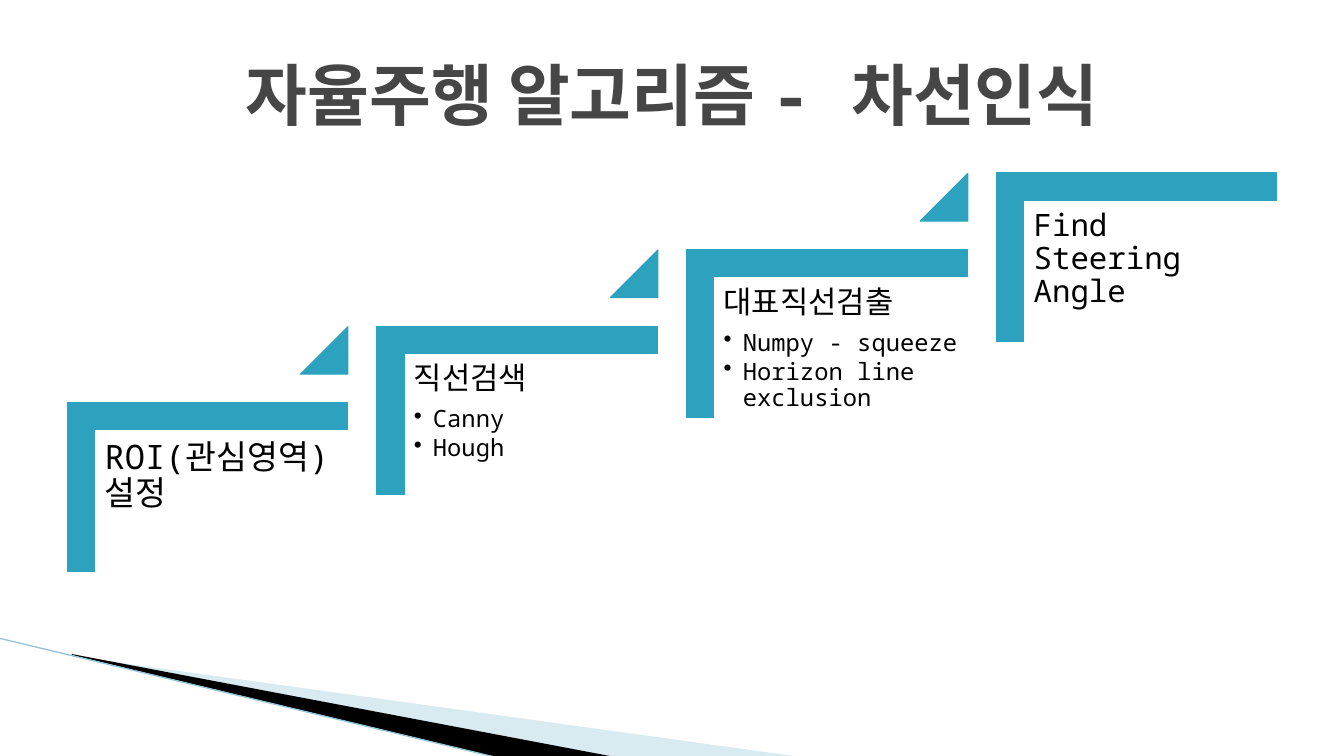
from dataclasses import dataclass

from lxml.etree import SubElement
from pptx import Presentation
from pptx.dml.color import RGBColor
from pptx.enum.shapes import MSO_CONNECTOR as Connector, MSO_SHAPE as Shape
from pptx.enum.text import MSO_ANCHOR as Anchor, PP_ALIGN as Align
from pptx.oxml.ns import qn
from pptx.util import Cm, Pt

FONT = "Noto Sans Mono"
COLORS = {
    "step": "2DA2BF",
    "text": "000000",
    "title": "464646",
    "pale_wedge": "A0CBDC",
    "dark_wedge": "000000",
    "edge": "97C5D8",
}
STEP_DX, STEP_DY = 7.81, -1.93
BULLET_INDENT = Cm(0.48)


@dataclass(frozen=True)
class Step:
    heading: str
    size: int = 22
    inset: float = 0.23
    details: tuple[str, ...] = ()


@dataclass(frozen=True)
class Wedge:
    color: str
    points: tuple[tuple[float, float], ...]
    opacity: int = 100


STEPS = [
    Step("ROI(관심영역)설정", size=24, inset=0.25),
    Step("직선검색", details=("Canny", "Hough")),
    Step("대표직선검출", details=("Numpy - squeeze", "Horizon line exclusion")),
    Step("Find Steering Angle"),
]
WEDGES = [
    Wedge("pale_wedge", ((1.85, 16.54), (20.14, 19.07), (15.44, 19.07), (1.85, 16.51)), 40),
    Wedge("dark_wedge", ((1.8, 16.48), (15.47, 19.07), (12.6, 19.1), (1.83, 16.51))),
]


def rgb(name: str) -> RGBColor:
    return RGBColor.from_string(COLORS[name])


def add_run(paragraph, text: str, size: int, color: str = "text", bold: bool = False) -> None:
    run = paragraph.add_run()
    run.text = text
    run.font.name = FONT
    run.font.size = Pt(size)
    run.font.bold = bold
    run.font.color.rgb = rgb(color)


def draw_wedge(slide, wedge: Wedge) -> None:
    start, *rest = [(Cm(x), Cm(y)) for x, y in wedge.points]
    builder = slide.shapes.build_freeform(*start)
    builder.add_line_segments(rest, close=True)
    outline = builder.convert_to_shape()
    outline.shadow.inherit = False
    outline.fill.solid()
    outline.fill.fore_color.rgb = rgb(wedge.color)
    outline.line.fill.background()
    if wedge.opacity < 100:
        color = outline._element.spPr.find(qn("a:solidFill"))[0]
        SubElement(color, qn("a:alpha")).set("val", str(wedge.opacity * 1000))


def draw_edge(slide) -> None:
    edge = slide.shapes.add_connector(
        Connector.STRAIGHT, Cm(-0.03), Cm(16.08), Cm(12.57), Cm(19.1))
    edge.line.color.rgb = rgb("edge")
    edge.line.width = Pt(0.95)
    SubElement(edge._element.spPr, qn("a:effectLst"))


def draw_step_shape(slide, kind: Shape, left: float, top: float,
                    width: float, height: float, adjustments: tuple[float, ...]):
    part = slide.shapes.add_shape(kind, Cm(left), Cm(top), Cm(width), Cm(height))
    for index, value in enumerate(adjustments):
        part.adjustments[index] = value
    part.shadow.inherit = False
    part.fill.solid()
    part.fill.fore_color.rgb = rgb("step")
    part.line.color.rgb = rgb("step")
    part.line.width = Pt(0.75)
    return part


def add_bullet(paragraph) -> None:
    properties = paragraph._p.get_or_add_pPr()
    properties.set("marL", str(BULLET_INDENT))
    properties.set("indent", str(-BULLET_INDENT))
    SubElement(properties, qn("a:buChar")).set("char", "•")


def draw_step_text(slide, step: Step, left: float, top: float) -> None:
    frame = slide.shapes.add_textbox(Cm(left), Cm(top), Cm(6.38), Cm(5.59)).text_frame
    frame.word_wrap = True
    frame.margin_left = frame.margin_right = Cm(step.inset)
    frame.margin_top = frame.margin_bottom = Cm(step.inset)
    heading = frame.paragraphs[0]
    heading.line_spacing = 0.9
    heading.space_after = Pt(round(step.size * 0.35, 1))
    add_run(heading, step.heading, step.size)
    for text in step.details:
        detail = frame.add_paragraph()
        detail.level = 1
        detail.line_spacing = 0.9
        detail.space_after = Pt(2.5)
        add_bullet(detail)
        add_run(detail, text, 17)


def draw_staircase(slide) -> None:
    for index, step in enumerate(STEPS):
        dx, dy = index * STEP_DX, index * STEP_DY
        corner = draw_step_shape(slide, Shape.CORNER, 3.1 + dx, 8.74 + dy,
                                 4.24, 7.06, (0.161, 0.161))
        corner.rotation = 90
        draw_step_text(slide, step, 2.39 + dx, 10.85 + dy)
        if index < len(STEPS) - 1:
            draw_step_shape(slide, Shape.ISOSCELES_TRIANGLE, 7.57 + dx, 8.23 + dy,
                            1.2, 1.2, (1,))


def draw_title(slide) -> None:
    frame = slide.shapes.add_textbox(Cm(1.7), Cm(0.76), Cm(30.48), Cm(3.18)).text_frame
    frame.word_wrap = True
    frame.vertical_anchor = Anchor.MIDDLE
    title = frame.paragraphs[0]
    title.alignment = Align.CENTER
    add_run(title, "자율주행 알고리즘 - 차선인식", 48, "title", bold=True)


def main() -> None:
    deck = Presentation()
    deck.slide_width, deck.slide_height = Cm(33.87), Cm(19.05)
    slide = deck.slides.add_slide(deck.slide_layouts[6])

    # Decoration in the lower left
    for wedge in WEDGES:
        draw_wedge(slide, wedge)
    draw_edge(slide)

    # Rising steps and title
    draw_staircase(slide)
    draw_title(slide)

    deck.save("out.pptx")


if __name__ == "__main__":
    main()
